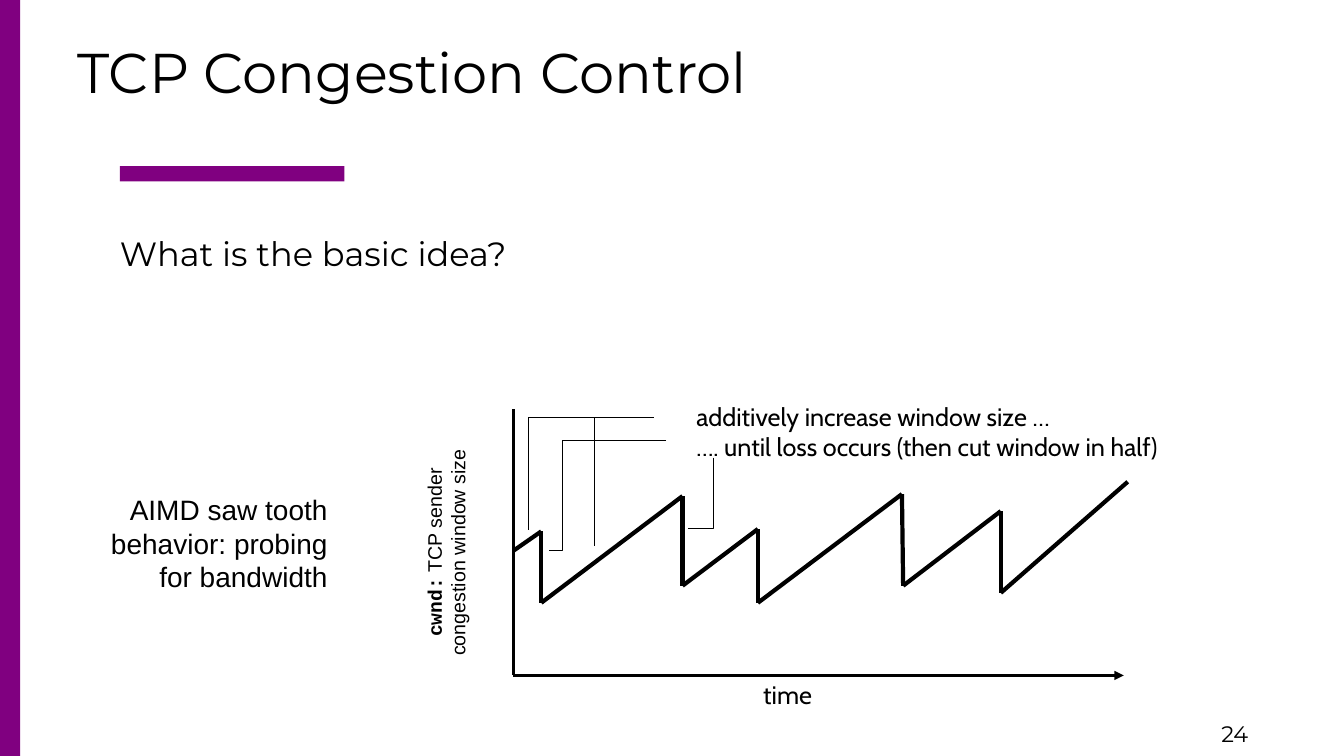
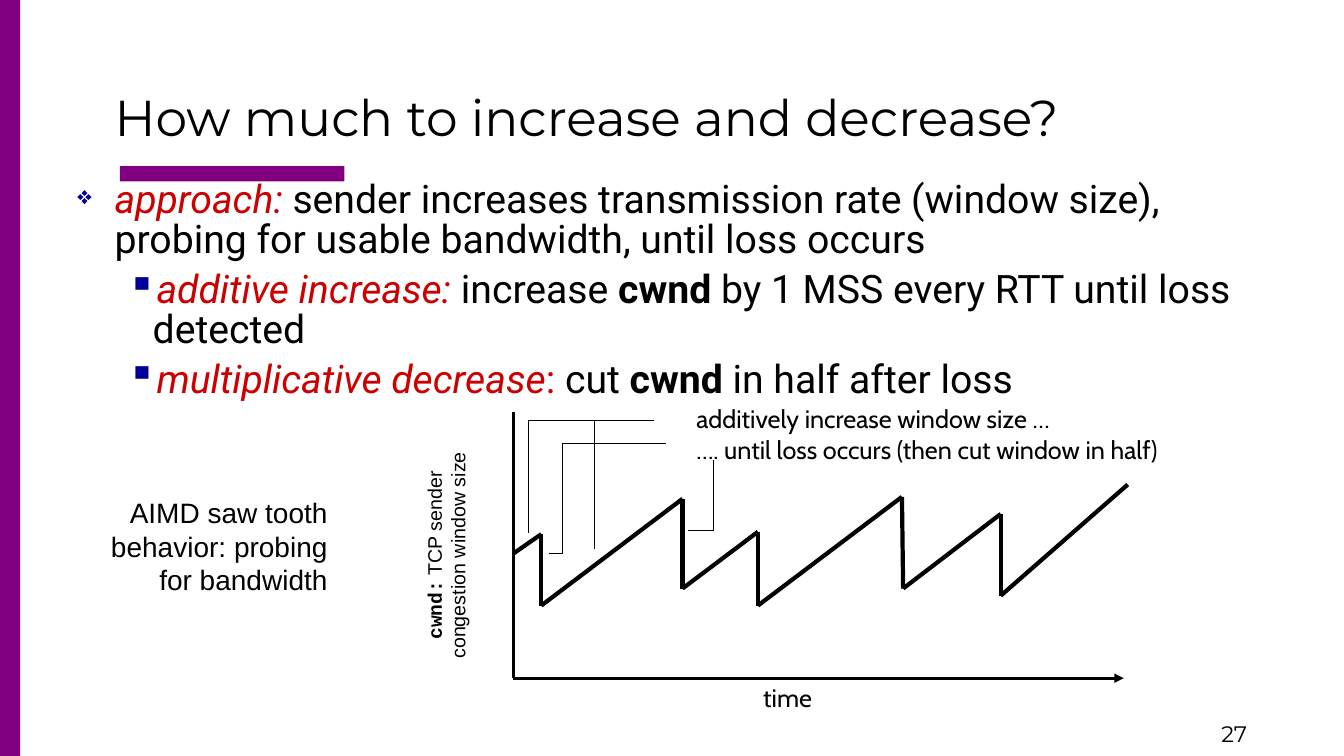
"""Build two slides on TCP congestion control around one saw tooth diagram."""
from itertools import pairwise

from lxml.etree import SubElement
from pptx import Presentation
from pptx.dml.color import RGBColor
from pptx.enum.shapes import MSO_CONNECTOR, MSO_SHAPE
from pptx.enum.text import MSO_ANCHOR, PP_ALIGN
from pptx.oxml.ns import qn
from pptx.util import Cm, Pt

COLORS = {"accent": "800080", "text": "000000", "term": "CC0000", "bullet": "000099"}
HEADING_FONT, LABEL_FONT, NOTE_FONT, BODY_FONT = "Montserrat", "Cabin", "Arial", "Roboto"

BANDS = [(3.02, 4.19, 5.66, 0.38), (0, 0, 0.51, 19.05)]
NUMBER_BOX = (30.53, 18.03, 2.8, 1.02)

SLIDES = [
    {
        "title": "TCP Congestion Control",
        "title_box": (1.7, 0.51, 31, 2.57),
        "title_size": 40,
        "title_anchor": MSO_ANCHOR.MIDDLE,
        "number": "24",
        "question": "What is the basic idea?",
        "bullets": [],
        "diagram_shift": 0,
    },
    {
        "title": "How much to increase and decrease?",
        "title_box": (2.64, 2.01, 30, 1.8),
        "title_size": 36,
        "title_anchor": MSO_ANCHOR.BOTTOM,
        "number": "27",
        "question": None,
        "bullets": [
            (0, [("approach: ", "term italic"),
                 ("sender increases transmission rate (window size), probing for "
                  "usable bandwidth, until loss occurs", "")]),
            (1, [("additive increase:", "term italic"), (" increase ", ""),
                 ("cwnd", "bold"), (" by 1 MSS every RTT until loss detected", "")]),
            (1, [("multiplicative decrease", "term italic"), (":", "term"),
                 (" cut ", ""), ("cwnd ", "bold"), ("in half after loss", "")]),
        ],
        "diagram_shift": 0.07,
    },
]
QUESTION_BOX = (2.77, 5.74, 20, 1.3)
BULLETS_BOX = (1.7, 4.45, 31, 5.5)
BULLET_LEVELS = [
    {"character": "❖", "percent": 65, "left": 0.94, "hanging": 0.94},
    {"character": "▪", "percent": 100, "left": 1.9, "hanging": 0.64},
]

AXIS_TOP, AXIS_ORIGIN, AXIS_END = (12.93, 10.31), (12.93, 17.02), (28.32, 17.02)
SAW_TOOTH = [
    (12.95, 13.87), (13.64, 13.39), (13.64, 15.19), (17.2, 12.5), (17.2, 14.76),
    (19.1, 13.33), (19.1, 15.19), (22.73, 12.45), (22.76, 14.76), (25.22, 12.88),
    (25.22, 14.94), (28.42, 12.14),
]
LEADERS = [
    [(16.48, 10.52), (13.31, 10.52), (13.31, 13.36)],
    [(16.79, 11.1), (14.17, 11.1), (14.17, 13.87), (13.84, 13.87)],
    [(16.48, 10.52), (14.99, 10.52), (14.99, 13.77)],
    [(17.98, 11.53), (17.98, 13.31), (17.35, 13.31)],
]
DIAGRAM_LABELS = [
    (["AIMD saw tooth", "behavior: probing", "for bandwidth"],
     (1.91, 12.29, 6.6, 2.8), NOTE_FONT, 20, PP_ALIGN.RIGHT),
    (["additively increase window size …",
      "…. until loss occurs (then cut window in half)"],
     (17.3, 9.98, 13.64, 1.78), LABEL_FONT, 18, PP_ALIGN.LEFT),
    (["time"], (18.55, 16.99, 2.6, 1.02), LABEL_FONT, 18, PP_ALIGN.CENTER),
]
AXIS_LABEL_BOX = (7.94, 13.2, 6.6, 1.45)


def color(name):
    return RGBColor.from_string(COLORS[name])


def set_font(font, name, size):
    font.name = name
    font.size = Pt(size)
    font.color.rgb = color("text")


def add_text(slide, lines, box, font_name, size, align=PP_ALIGN.LEFT, anchor=MSO_ANCHOR.TOP):
    shape = slide.shapes.add_textbox(*map(Cm, box))
    frame = shape.text_frame
    frame.word_wrap = True
    frame.vertical_anchor = anchor
    frame.text = "\n".join(lines)
    for paragraph in frame.paragraphs:
        paragraph.alignment = align
        set_font(paragraph.font, font_name, size)
    return shape


def add_line(slide, start, end, width, arrow=False):
    line = slide.shapes.add_connector(MSO_CONNECTOR.STRAIGHT, *map(Cm, (*start, *end)))
    line.line.color.rgb = color("text")
    line.line.width = Pt(width)
    if arrow:
        SubElement(line.line._get_or_add_ln(), qn("a:tailEnd"), type="triangle")
    SubElement(line._element.spPr, qn("a:effectLst"))


def add_leader(slide, points):
    corners = [(Cm(x), Cm(y)) for x, y in points]
    builder = slide.shapes.build_freeform(*corners[0])
    builder.add_line_segments(corners[1:], close=False)
    shape = builder.convert_to_shape()
    shape.shadow.inherit = False
    shape.fill.background()
    shape.line.color.rgb = color("text")
    shape.line.width = Pt(0.75)


def add_bullets(slide, bullets):
    frame = slide.shapes.add_textbox(*map(Cm, BULLETS_BOX)).text_frame
    frame.word_wrap = True
    for index, (level, runs) in enumerate(bullets):
        paragraph = frame.add_paragraph() if index else frame.paragraphs[0]
        paragraph.level = level
        style = BULLET_LEVELS[level]
        properties = paragraph._p.get_or_add_pPr()
        properties.set("marL", str(Cm(style["left"])))
        properties.set("indent", str(-Cm(style["hanging"])))
        bullet_color = SubElement(properties, qn("a:buClr"))
        SubElement(bullet_color, qn("a:srgbClr"), val=COLORS["bullet"])
        SubElement(properties, qn("a:buSzPct"), val=str(style["percent"] * 1000))
        SubElement(properties, qn("a:buChar"), char=style["character"])
        paragraph.line_spacing = 0.85
        if index:
            paragraph.space_before = Pt(7)
        set_font(paragraph.font, BODY_FONT, 28)
        for text, marks in runs:
            run = paragraph.add_run()
            run.text = text
            if "term" in marks:
                run.font.color.rgb = color("term")
            if "italic" in marks:
                run.font.italic = True
            if "bold" in marks:
                run.font.bold = True


def add_diagram(slide, shift):
    def lower(points):
        return [(x, y + shift) for x, y in points]

    def lower_box(box):
        left, top, width, height = box
        return left, top + shift, width, height

    axis_label = add_text(slide, ["", "congestion window size"], lower_box(AXIS_LABEL_BOX),
                          NOTE_FONT, 14, PP_ALIGN.CENTER)
    axis_label.rotation = 270
    first_line = axis_label.text_frame.paragraphs[0]
    variable = first_line.add_run()
    variable.text = "cwnd:"
    variable.font.name = "Courier New"
    variable.font.bold = True
    first_line.add_run().text = " TCP sender"

    top, origin, end = lower([AXIS_TOP, AXIS_ORIGIN, AXIS_END])
    add_line(slide, origin, end, 2.25, arrow=True)
    add_line(slide, top, origin, 2.25)
    for start, finish in pairwise(lower(SAW_TOOTH)):
        add_line(slide, start, finish, 3)
    for points in LEADERS:
        add_leader(slide, lower(points))
    for lines, box, font_name, size, align in DIAGRAM_LABELS:
        add_text(slide, lines, lower_box(box), font_name, size, align)


def add_frame(slide, content):
    for box in BANDS:
        band = slide.shapes.add_shape(MSO_SHAPE.RECTANGLE, *map(Cm, box))
        band.shadow.inherit = False
        band.fill.solid()
        band.fill.fore_color.rgb = color("accent")
        band.line.fill.background()
    add_text(slide, [content["number"]], NUMBER_BOX, HEADING_FONT, 16)
    add_text(slide, [content["title"]], content["title_box"], HEADING_FONT,
             content["title_size"], anchor=content["title_anchor"])


def main():
    presentation = Presentation()
    presentation.slide_width, presentation.slide_height = Cm(33.87), Cm(19.05)
    for content in SLIDES:
        slide = presentation.slides.add_slide(presentation.slide_layouts[6])
        add_frame(slide, content)
        if content["question"]:
            add_text(slide, [content["question"]], QUESTION_BOX, HEADING_FONT, 24)
        if content["bullets"]:
            add_bullets(slide, content["bullets"])
        add_diagram(slide, content["diagram_shift"])
    presentation.save("out.pptx")


if __name__ == "__main__":
    main()
